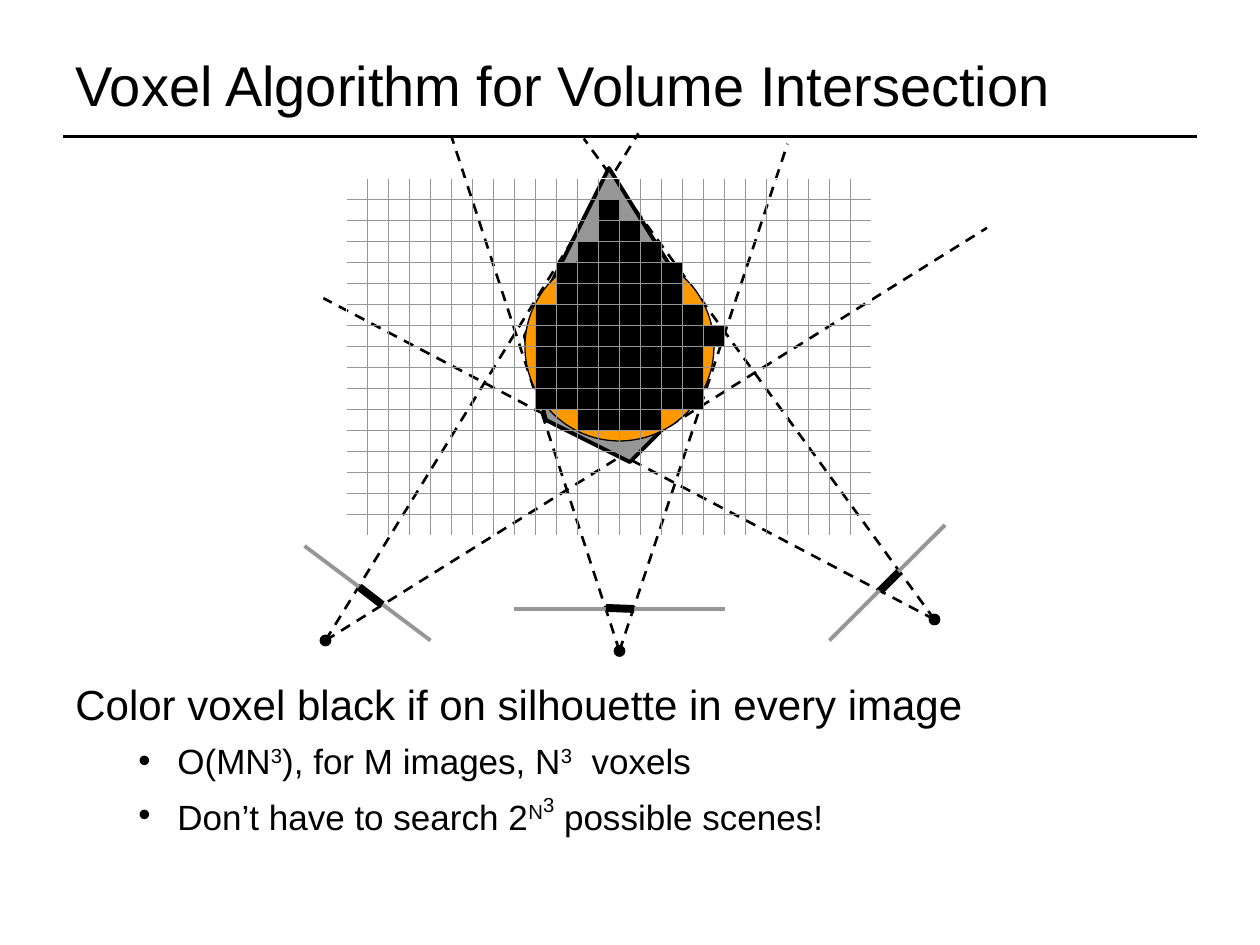
"""Build the slide on voxel-based volume intersection."""
from lxml import etree
from pptx import Presentation
from pptx.dml.color import RGBColor
from pptx.enum.dml import MSO_LINE
from pptx.enum.shapes import MSO_CONNECTOR, MSO_SHAPE
from pptx.enum.text import MSO_ANCHOR, MSO_AUTO_SIZE, PP_ALIGN
from pptx.oxml.ns import qn
from pptx.util import Inches, Pt

COLORS = {"black": "000000", "gray": "969696", "orange": "FF9900", "white": "FFFFFF"}
FONT = "Arial"

prs = Presentation()
prs.slide_width, prs.slide_height = Inches(10), Inches(7.5)
CELL = prs.slide_width / 60
slide = prs.slides.add_slide(prs.slide_layouts[5])


def add_line(shapes, start, end, color="black", width=1.5, dash=None):
    ends = [round(v * CELL) for v in (*start, *end)]
    c = shapes.add_connector(MSO_CONNECTOR.STRAIGHT, *ends)
    c.line.color.rgb = RGBColor.from_string(COLORS[color])
    c.line.width = Pt(width)
    if dash:
        c.line.dash_style = dash
    etree.SubElement(c._element.spPr, qn("a:effectLst"))


def write(p, text, size=20, color="black", base=0):
    r = p.add_run()
    r.text = text
    r.font.name, r.font.size = FONT, Pt(size)
    r.font.color.rgb = RGBColor.from_string(COLORS[color])
    if base:
        r._r.get_or_add_rPr().set("baseline", str(base * 1000))


title = slide.shapes.title
title.left, title.top, title.width, title.height = [round(v * CELL) for v in (3, 1, 54, 6)]
tf = title.text_frame
tf.auto_size, tf.vertical_anchor = MSO_AUTO_SIZE.NONE, MSO_ANCHOR.MIDDLE
p = tf.paragraphs[0]
p.alignment = PP_ALIGN.LEFT
write(p, "Voxel Algorithm for Volume Intersection", size=32)
add_line(slide.shapes, (3, 6.5), (57, 6.5), width=1.75)

cameras = {
    (15.5, 30.5): [(30.4, 6.35), (47, 10.85)],
    (29.5, 31): [(21.5, 6.5), (37.5, 6.85)],
    (44.5, 29.5): [(15.4, 14.2), (27.8, 6.6)],
}
sight = slide.shapes.add_group_shape().shapes
for camera, targets in cameras.items():
    for target in targets:
        add_line(sight, camera, target, dash=MSO_LINE.DASH)

outlined = []
hull = [(25.8, 19.7), (29.65, 21.65), (33.35, 19.4), (34.45, 15.9), (29.1, 8.45), (24.55, 15.9)]
fb = slide.shapes.build_freeform(*hull[0], scale=CELL)
fb.add_line_segments(hull[1:], close=True)
outlined.append((fb.convert_to_shape(), "gray", "black", 2.25))

ovals = [(29.5, 16.5, 9, "orange")] + [(x, y, 0.5, "black") for x, y in cameras]
for x, y, d, fill in ovals:
    box = [round(v * CELL) for v in (x - d / 2, y - d / 2, d, d)]
    s = slide.shapes.add_shape(MSO_SHAPE.OVAL, *box)
    outlined.append((s, fill, "black", 0.75))

planes = [((14.5, 26), (20.5, 30.5)), ((24.5, 29), (34.5, 29)), ((45, 25), (39.5, 30.5))]
for start, end in planes:
    add_line(slide.shapes, start, end, color="gray", width=2.25)

silhouettes = [
    ((17.1, 27.95), (18.2, 28.8)),
    ((28.85, 28.95), (30.2, 29)),
    ((41.9, 28.15), (42.8, 27.25)),
]
marks = slide.shapes.add_group_shape().shapes
for start, end in silhouettes:
    add_line(marks, start, end, width=4.5)

X0, Y0, COLS, ROWS = 16.5, 8.5, 25, 17
grid = slide.shapes.add_group_shape().shapes
for row in range(1, ROWS):
    add_line(grid, (X0, Y0 + row), (X0 + COLS, Y0 + row), color="gray", width=0.75)
for col in range(1, COLS):
    add_line(grid, (X0 + col, Y0), (X0 + col, Y0 + ROWS), color="gray", width=0.75)
frame = slide.shapes.add_shape(
    MSO_SHAPE.RECTANGLE, *[round(v * CELL) for v in (X0, Y0, COLS, ROWS)])
outlined.append((frame, None, "white", 0.75))

first_col = 9
row_spans = [(6, 10), (4, 10), (3, 11), (1, 11), (2, 11), (3, 11), (4, 10), (6, 10), (7, 7)]
voxels = slide.shapes.add_group_shape().shapes
for col, (top, bottom) in enumerate(row_spans, first_col):
    for row in range(top, bottom + 1):
        box = [round(v * CELL) for v in (X0 + col, Y0 + row, 1, 1)]
        s = voxels.add_shape(MSO_SHAPE.RECTANGLE, *box)
        outlined.append((s, "black", "gray", 0.75))

for s, fill, line, width in outlined:
    s.shadow.inherit = False
    if fill:
        s.fill.solid()
        s.fill.fore_color.rgb = RGBColor.from_string(COLORS[fill])
    else:
        s.fill.background()
    s.line.color.rgb = RGBColor.from_string(COLORS[line])
    s.line.width = Pt(width)

body = slide.shapes.add_textbox(*[round(v * CELL) for v in (3, 32, 54.5, 11.5)])
tf = body.text_frame
tf.word_wrap = True
write(tf.paragraphs[0], "Color voxel black if on silhouette in every image", size=24)
bullets = [
    [("O(MN", 0), ("3", 30), ("), for M images, N", 0), ("3", 30), ("  voxels", 0)],
    [("Don’t have to search 2", 0), ("N", 30), ("3", 50), (" possible scenes!", 0)],
]
for runs in bullets:
    p = tf.add_paragraph()
    p.level, p.space_before = 1, Pt(6.2)
    pPr = p._p.get_or_add_pPr()
    pPr.set("marL", str(Inches(0.81)))
    pPr.set("indent", str(Inches(-0.31)))
    etree.SubElement(pPr, qn("a:buFont"), typeface=FONT)
    etree.SubElement(pPr, qn("a:buChar"), char="•")
    for text, base in runs:
        write(p, text, base=base)

prs.save("out.pptx")
